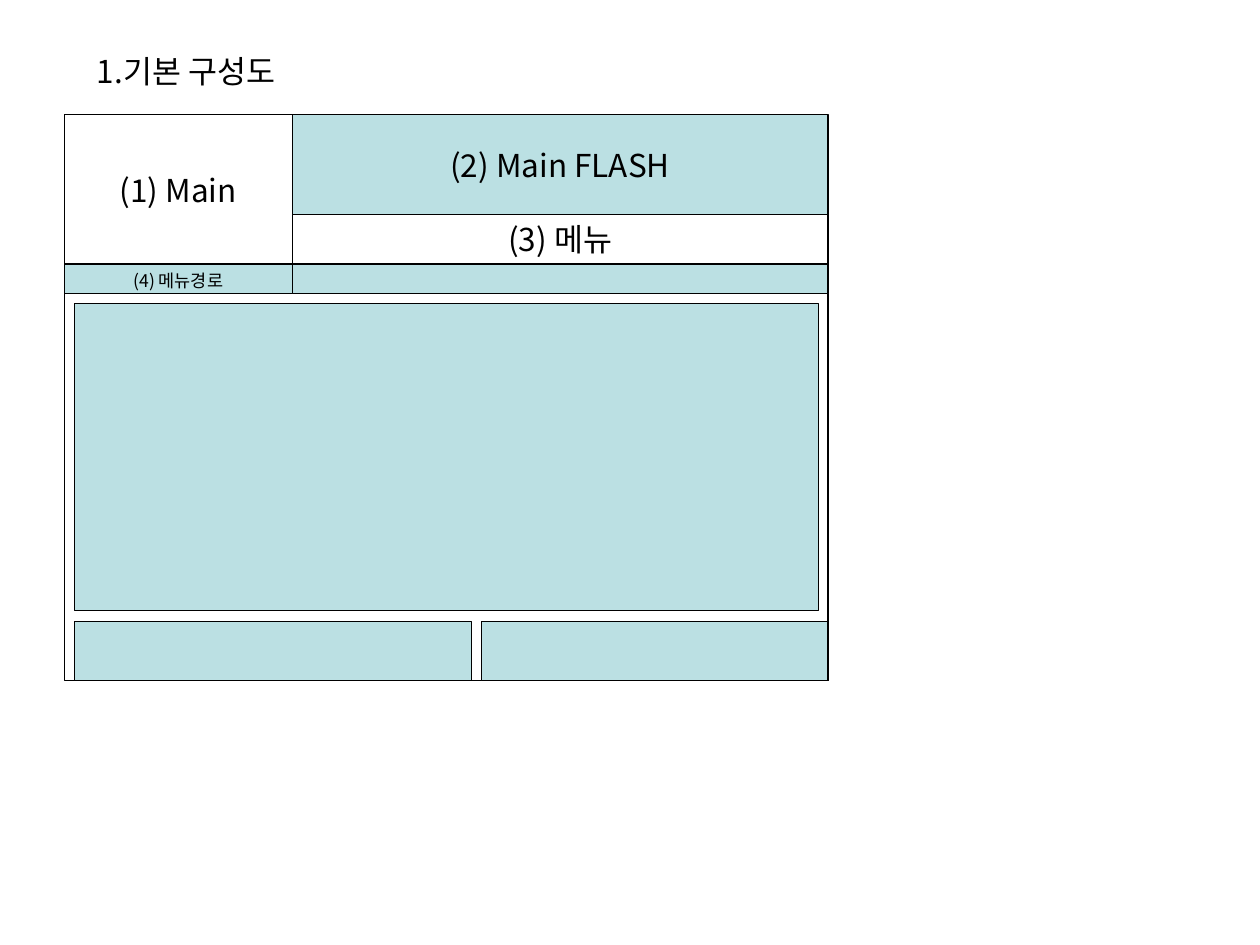
from dataclasses import dataclass

import lxml.etree
import pptx
import pptx.dml.color
import pptx.enum.shapes
import pptx.enum.text
import pptx.oxml.ns
import pptx.util

Pt = pptx.util.Pt
FONT = "Noto Sans CJK KR"
BLACK, WHITE, AQUA = "000000", "FFFFFF", "BBE0E3"
LEFT, SPLIT, RIGHT = 36.7, 167, 473.2
TOP, MENU, ROUTE, CONTENT, BOTTOM = 65.6, 122.5, 150.9, 167.9, 388.9
INNER, PANEL, FOOTER = 42.5, 173.6, 355


@dataclass
class Box:
    left: float
    top: float
    right: float
    bottom: float
    fill: str
    text: str = ""


BOXES = [
    Box(LEFT, TOP, SPLIT, ROUTE, WHITE, "(1) Main"),
    Box(SPLIT, MENU, RIGHT, ROUTE, WHITE, "(3) 메뉴"),
    Box(LEFT, ROUTE, SPLIT, CONTENT, AQUA),
    Box(SPLIT, TOP, RIGHT, MENU, AQUA, "(2) Main FLASH"),
    Box(LEFT, CONTENT, RIGHT, BOTTOM, WHITE),
    Box(SPLIT, ROUTE, RIGHT, CONTENT, AQUA),
    Box(INNER, PANEL, 467.7, 349.1, AQUA),
    Box(INNER, FOOTER, 269.3, BOTTOM, AQUA),
    Box(275, FOOTER, RIGHT, BOTTOM, AQUA),
]


def color(value: str) -> pptx.dml.color.RGBColor:
    return pptx.dml.color.RGBColor.from_string(value)


def write(tf, text: str, size: float, align, anchor, wrap: bool) -> None:
    tf.text = text
    tf.word_wrap = wrap
    tf.auto_size = pptx.enum.text.MSO_AUTO_SIZE.NONE
    tf.vertical_anchor = anchor
    p = tf.paragraphs[0]
    p.alignment = align
    r = p.runs[0]
    r.font.size = Pt(size)
    r.font.name = FONT
    r.font.color.rgb = color(BLACK)
    ea = lxml.etree.SubElement(r.font._element, pptx.oxml.ns.qn("a:ea"))
    ea.set("typeface", FONT)


def draw_box(s, box: Box) -> None:
    sp = s.shapes.add_shape(
        pptx.enum.shapes.MSO_SHAPE.RECTANGLE,
        Pt(box.left), Pt(box.top),
        Pt(box.right - box.left), Pt(box.bottom - box.top),
    )
    sp.shadow.inherit = False
    sp.fill.solid()
    sp.fill.fore_color.rgb = color(box.fill)
    sp.line.color.rgb = color(BLACK)
    sp.line.width = Pt(0.75)
    if box.text:
        write(sp.text_frame, box.text, 18, pptx.enum.text.PP_ALIGN.CENTER,
              pptx.enum.text.MSO_ANCHOR.MIDDLE, False)


def main() -> None:
    prs = pptx.Presentation()
    prs.slide_width, prs.slide_height = Pt(720), Pt(540)
    s = prs.slides.add_slide(prs.slide_layouts[5])
    title = s.shapes.title
    title.left, title.top = Pt(48.2), Pt(25.9)
    title.width, title.height = Pt(362.9), Pt(28.8)
    write(title.text_frame, "1.기본 구성도", 18, pptx.enum.text.PP_ALIGN.LEFT,
          pptx.enum.text.MSO_ANCHOR.TOP, True)
    for box in BOXES:
        draw_box(s, box)
    route = s.shapes.add_textbox(Pt(LEFT), Pt(ROUTE), Pt(SPLIT - LEFT), Pt(19.4))
    write(route.text_frame, "(4) 메뉴경로", 10, pptx.enum.text.PP_ALIGN.CENTER,
          pptx.enum.text.MSO_ANCHOR.TOP, True)
    prs.save("out.pptx")


if __name__ == "__main__":
    main()
